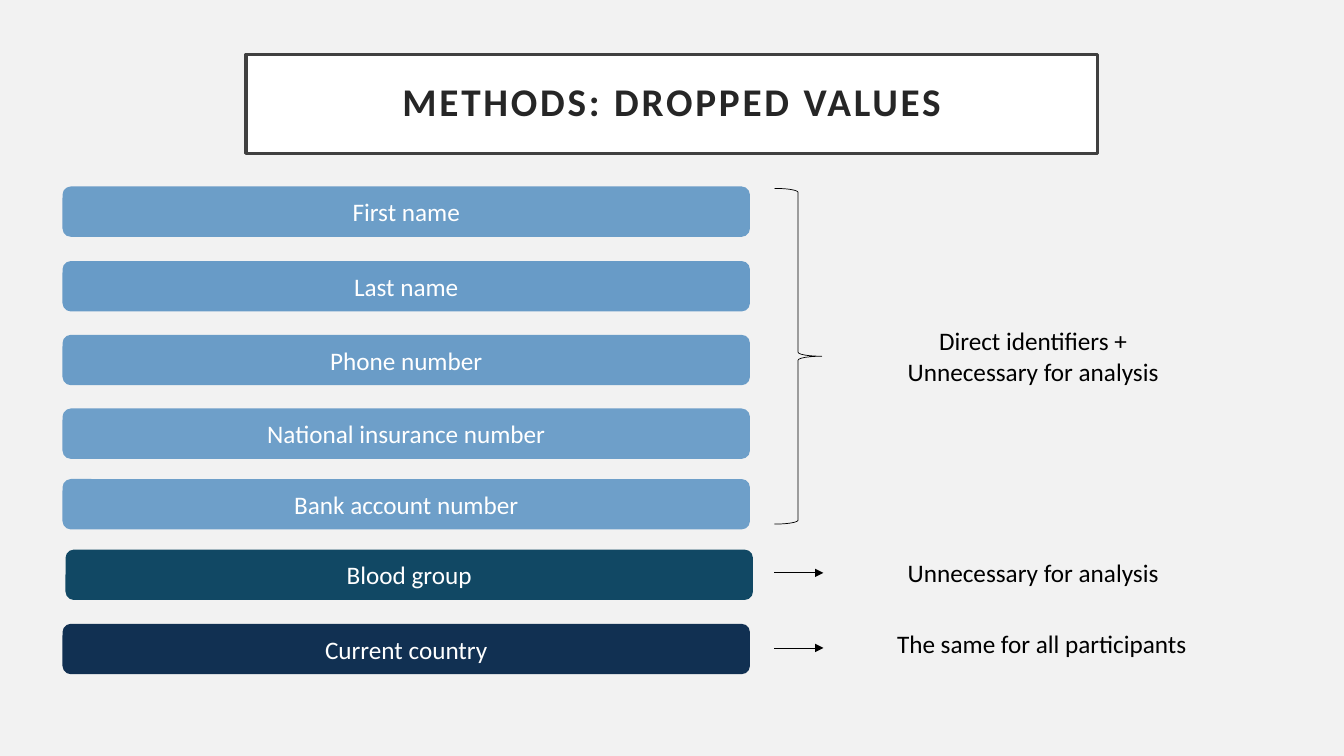
from lxml import etree
from pptx import Presentation
from pptx.dml.color import RGBColor
from pptx.enum.shapes import MSO_CONNECTOR, MSO_SHAPE
from pptx.enum.text import MSO_ANCHOR, MSO_AUTO_SIZE, PP_ALIGN
from pptx.oxml.ns import qn
from pptx.util import Pt

CENTER = PP_ALIGN.CENTER
TOP, MIDDLE = MSO_ANCHOR.TOP, MSO_ANCHOR.MIDDLE
NO_FIT = MSO_AUTO_SIZE.NONE
STRAIGHT = MSO_CONNECTOR.STRAIGHT
ROUNDED, BRACE = MSO_SHAPE.ROUNDED_RECTANGLE, MSO_SHAPE.RIGHT_BRACE

COLORS = {
    "background": "F2F2F2", "white": "FFFFFF", "black": "000000",
    "frame": "404040", "title": "262626", "sheer": "4E8BBF",
    "phone": "6A9CC7", "number": "6E9FC9",
    "blood": "114864", "country": "113052",
}
BODY = {"name": "Calibri", "size": Pt(18)}
HEADING = {"name": "Calibri", "size": Pt(28), "bold": True}

BAR_LEFT, BAR_WIDTH, BAR_HEIGHT = 44.64, 491.04, 36
# Label, left, top, colour, opacity in percent
BARS = [
    ("First name", BAR_LEFT, 133.2, "sheer", 81),
    ("Last name", BAR_LEFT, 186.5, "sheer", 84),
    ("Phone number", BAR_LEFT, 239.2, "phone", 100),
    ("National insurance number", BAR_LEFT, 291.8, "number", 100),
    ("Bank account number", BAR_LEFT, 342.2, "number", 100),
    ("Blood group", BAR_LEFT + 2.16, 392.6, "blood", 100),
    ("Current country", BAR_LEFT, 445.6, "country", 100),
]
# Lines, left, top, width, height
REASONS = [
    (["Direct identifiers +", "Unnecessary for analysis"], 630, 229, 216, 51),
    (["Unnecessary for analysis"], 618.5, 394.6, 239, 29),
    (["The same for all participants"], 618.5, 445, 251.3, 29),
]
ARROW_LEFT, ARROW_RIGHT = 553.2, 588.2
ARROW_HEIGHTS = [409.2, 462.8]


def rgb(name):
    return RGBColor.from_string(COLORS[name])


def box(left, top, width, height):
    return [Pt(v) for v in (left, top, width, height)]


def set_fill(sp, color, opacity=100):
    sp.fill.solid()
    sp.fill.fore_color.rgb = rgb(color)
    if opacity < 100:
        clr = sp.fill._xPr.find(".//" + qn("a:srgbClr"))
        etree.SubElement(clr, qn("a:alpha"), val=str(opacity * 1000))


def set_line(sp, color, width):
    sp.line.color.rgb = rgb(color)
    sp.line.width = Pt(width)


def write(sp, lines, color, anchor, formats=BODY):
    tf = sp.text_frame
    tf.word_wrap = True
    tf.auto_size = NO_FIT
    tf.vertical_anchor = anchor
    for i, line in enumerate(lines):
        p = tf.paragraphs[0] if i == 0 else tf.add_paragraph()
        p.alignment = CENTER
        r = p.add_run()
        r.text = line
        r.font.color.rgb = rgb(color)
        for key, value in formats.items():
            setattr(r.font, key, value)
    return tf


def add_title(slide, text):
    sp = slide.shapes.title
    sp.left, sp.top, sp.width, sp.height = box(175.7, 38.9, 608.4, 70.6)
    set_fill(sp, "white")
    set_line(sp, "frame", 2.5)
    tf = write(sp, [text], "title", MIDDLE, HEADING)
    for side in ("left", "top", "right", "bottom"):
        setattr(tf, f"margin_{side}", Pt(14.4))
    p = tf.paragraphs[0]
    p.line_spacing = 0.9
    p.runs[0].font._element.set("spc", "200")


def add_bar(slide, label, left, top, color, opacity):
    sp = slide.shapes.add_shape(ROUNDED, *box(left, top, BAR_WIDTH, BAR_HEIGHT))
    sp.shadow.inherit = False
    set_fill(sp, color, opacity)
    sp.line.fill.background()
    write(sp, [label], "white", MIDDLE)


def add_brace(slide):
    sp = slide.shapes.add_shape(BRACE, *box(ARROW_LEFT, 134.6, 33.8, 239.8))
    sp.shadow.inherit = False
    sp.fill.background()
    set_line(sp, "black", 0.5)


def add_arrow(slide, y):
    sp = slide.shapes.add_connector(
        STRAIGHT, Pt(ARROW_LEFT), Pt(y), Pt(ARROW_RIGHT), Pt(y))
    set_line(sp, "black", 0.5)
    etree.SubElement(sp.line._get_or_add_ln(), qn("a:tailEnd"), type="triangle")
    etree.SubElement(sp._element.spPr, qn("a:effectLst"))


def add_reason(slide, lines, *place):
    sp = slide.shapes.add_textbox(*box(*place))
    write(sp, lines, "black", TOP)


def main():
    prs = Presentation()
    prs.slide_width, prs.slide_height = Pt(960), Pt(540)
    slide = prs.slides.add_slide(prs.slide_layouts[5])
    set_fill(slide.background, "background")

    # Heading
    add_title(slide, "METHODS: DROPPED VALUES")

    # Dropped fields
    for bar in BARS:
        add_bar(slide, *bar)

    # Links from the fields to the reasons
    add_brace(slide)
    for y in ARROW_HEIGHTS:
        add_arrow(slide, y)

    # Reasons for dropping
    for reason in REASONS:
        add_reason(slide, *reason)

    prs.save("out.pptx")


if __name__ == "__main__":
    main()
